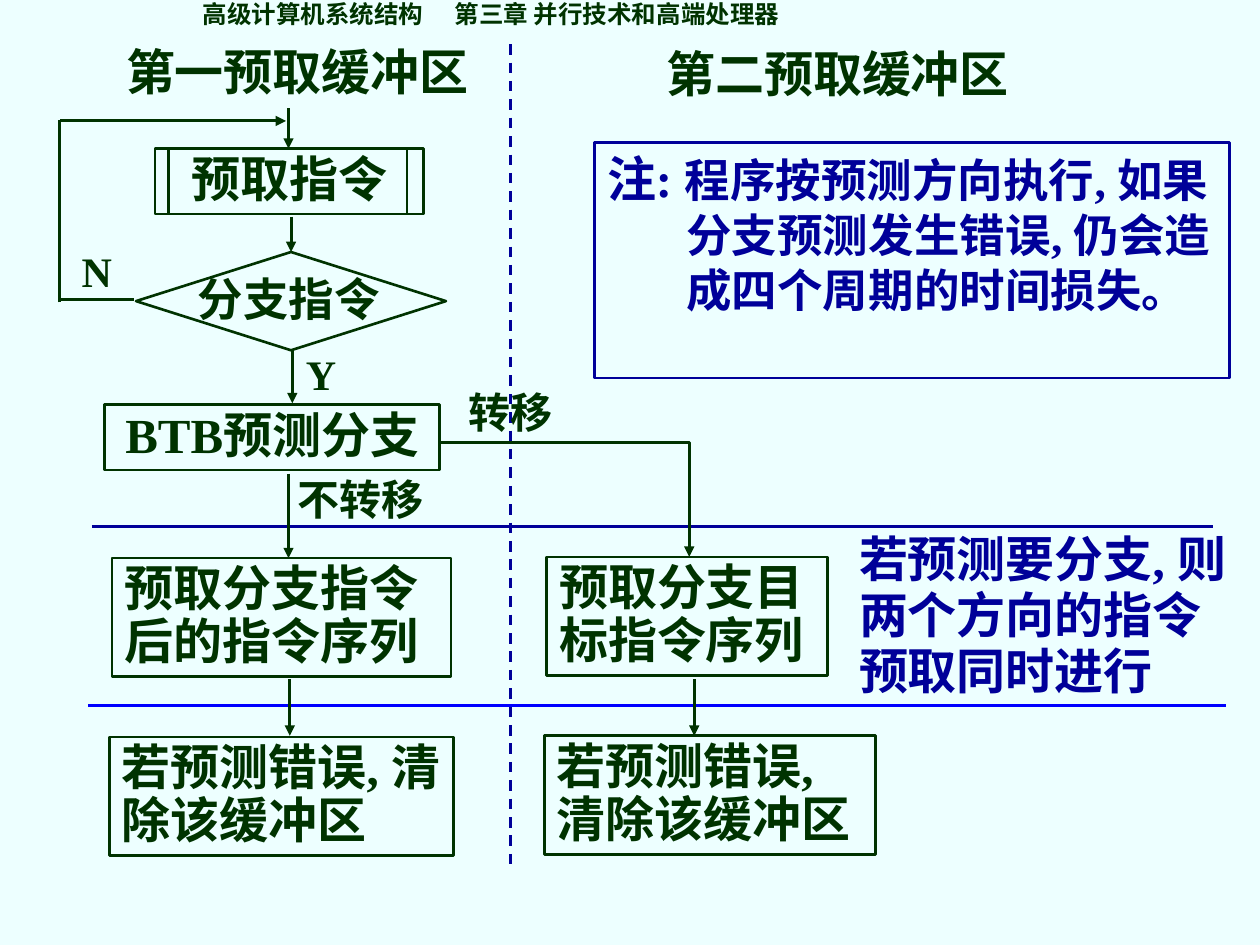
from lxml import etree
from pptx import Presentation, util as u
from pptx.dml.color import RGBColor
from pptx.enum import dml, shapes, text
from pptx.oxml.ns import qn

HUES = {"back": "EDFFFF", "green": "003300", "navy": "000099", "blue": "0000FF"}
FACE = "Times New Roman"
COLS, ROWS = 100, 75
UNIT = u.Inches(10) // COLS
RECT = shapes.MSO_SHAPE.RECTANGLE


def cell(*nums):
    """Turn grid counts into lengths."""
    return [int(n * UNIT) for n in nums]


def tint(hue):
    """Give the colour with this name."""
    return RGBColor.from_string(HUES[hue])


def pen(line, hue="green", width=1.5, dash=False, head=False):
    """Style an outline, with an arrowhead at its end if asked."""
    line.color.rgb = tint(hue)
    line.width = u.Pt(width)
    if dash:
        line.dash_style = dml.MSO_LINE.DASH
    if head:
        etree.SubElement(line._get_or_add_ln(), qn("a:tailEnd"), type="triangle")


def write(shape, words, size=28, hue="green", face=FACE, space=1.0,
          align="LEFT", anchor="TOP"):
    """Fill a shape with one paragraph; words is text or (text, size) pairs."""
    frame = shape.text_frame
    look = {"word_wrap": True, "auto_size": text.MSO_AUTO_SIZE.NONE,
            "vertical_anchor": getattr(text.MSO_ANCHOR, anchor)}
    for key, val in look.items():
        setattr(frame, key, val)
    para = frame.paragraphs[0]
    para.alignment = getattr(text.PP_ALIGN, align)
    para.line_spacing = space
    for part, pts in [(words, size)] if isinstance(words, str) else words:
        run = para.add_run()
        run.text = part
        for key, val in {"name": face, "size": u.Pt(pts), "bold": True}.items():
            setattr(run.font, key, val)
        run.font.color.rgb = tint(hue)
    return para


def label(slide, spot, words, **form):
    """Add plain text at a grid spot."""
    return write(slide.shapes.add_textbox(*cell(*spot)), words, **form)


def box(slide, spot, words="", hue="green", kind=RECT, **form):
    """Add an outlined shape, with text if given."""
    shape = slide.shapes.add_shape(kind, *cell(*spot))
    shape.shadow.inherit = False
    shape.fill.background()
    pen(shape.line, hue)
    if words:
        return write(shape, words, hue=hue, **form)


def link(slide, ends, **form):
    """Draw a straight line between two grid points."""
    line = slide.shapes.add_connector(shapes.MSO_CONNECTOR.STRAIGHT, *cell(*ends))
    etree.SubElement(line._element.spPr, qn("a:effectLst"))
    pen(line.line, **form)


def bend(slide, dots):
    """Draw an open bent arrow through grid points."""
    first, *rest = [tuple(cell(*dot)) for dot in dots]
    form = slide.shapes.build_freeform(*first)
    form.add_line_segments(rest, close=False)
    shape = form.convert_to_shape()
    shape.shadow.inherit = False
    shape.fill.background()
    pen(shape.line, width=1.76, head=True)


def indent(para, left, first, tab=None):
    """Set a paragraph's indents, and a tab stop if given."""
    props = para._p.get_or_add_pPr()
    for key, val in zip(("marL", "indent"), cell(left, first)):
        props.set(key, str(val))
    if tab:
        stops = etree.SubElement(props, qn("a:tabLst"))
        etree.SubElement(stops, qn("a:tab"), pos=str(cell(tab)[0]), algn="l")


def heads(slide):
    """Write the running header and both column headings."""
    title = slide.shapes.title
    spot = cell(9, 2.8, 32.1, 5.7)
    for key, val in zip(("left", "top", "width", "height"), spot):
        setattr(title, key, val)
    write(title, "第一预取缓冲区")
    label(slide, (51.9, 3, 32.1, 5.7), "第二预取缓冲区")
    para = label(slide, (15.1, 0.1, 72, 2.7), "高级计算机系统结构\t第三章 并行技术和高端处理器",
                 size=14, face="Noto Sans CJK SC", space=0.7)
    indent(para, 0, 0, tab=42.3)


def rules(slide):
    """Draw the lines that part the columns and stages."""
    link(slide, (7.3, 41.8, 96.3, 41.8), hue="navy")
    link(slide, (40.5, 3.5, 40.5, 69.2), hue="navy", dash=True)
    link(slide, (7, 56, 97.3, 56), hue="blue")


def flow(slide):
    """Draw the flow chart's steps and arrows."""
    box(slide, (12.3, 11.8, 21.3, 5.2), "预取指令", space=0.9, align="CENTER")
    for x in (13.4, 32.3):
        link(slide, (x, 11.9, x, 17.1))
    box(slide, (10.8, 20, 24.6, 7.8), kind=shapes.MSO_SHAPE.DIAMOND)
    label(slide, (14.7, 21, 17.4, 5.4), "分支指令", size=26)
    box(slide, (8.3, 32.1, 26.6, 5.2), "BTB预测分支", space=0.9, align="CENTER")
    clear = "若预测错误, 清除该缓冲区"
    for x, y, wide, words in (
            (8.9, 44.3, 26.9, "预取分支指令后的指令序列"),
            (43.4, 44.2, 22.3, "预取分支目标指令序列"),
            (8.7, 58.5, 27.3, clear), (43.2, 58.4, 26.3, clear)):
        box(slide, (x, y, wide, 9.4), words, space=0.9)
    for x, top, end in ((22.9, 8.6, 11.8), (23.1, 17.2, 20), (23.2, 27.8, 32),
                        (22.9, 37.6, 44.3), (23, 53.9, 58.4), (55.1, 53.9, 58.4)):
        link(slide, (x, top, x, end), width=1.76, head=True)
    link(slide, (10.6, 23.8, 4.8, 23.8), width=1.76)
    link(slide, (4.7, 24, 4.7, 9.5), width=1.76)
    link(slide, (4.8, 9.6, 22.7, 9.6), width=1.76, head=True)
    bend(slide, ((34.9, 35.1), (54.7, 35.1), (54.7, 44.2)))
    for x, y, wide, words in ((5.5, 19, 6, "N"), (23.3, 27.2, 6, "Y"),
                              (22.6, 37.1, 15.1, "不转移"), (36.2, 30.2, 10.3, "转移")):
        label(slide, (x, y, wide, 5), words, size=24)


def notes(slide):
    """Write the two blue remarks."""
    label(slide, (67.2, 41.8, 31.3, 14.3), "若预测要分支, 则两个方向的指令预取同时进行",
          hue="navy", space=0.95)
    words = [("注: ", 28), ("程序按预测方向执行, 如果分支预测发生错误, 仍会造成四个周期的时间损失。", 26)]
    para = box(slide, (47.2, 11.3, 50.4, 18.7), words, hue="navy")
    indent(para, 6.3, -6.3)


def main():
    """Build and save the slide."""
    deck = Presentation()
    deck.slide_width, deck.slide_height = cell(COLS, ROWS)
    slide = deck.slides.add_slide(deck.slide_layouts[5])
    slide.background.fill.solid()
    slide.background.fill.fore_color.rgb = tint("back")
    heads(slide)
    rules(slide)
    flow(slide)
    notes(slide)
    deck.save("out.pptx")


main()
